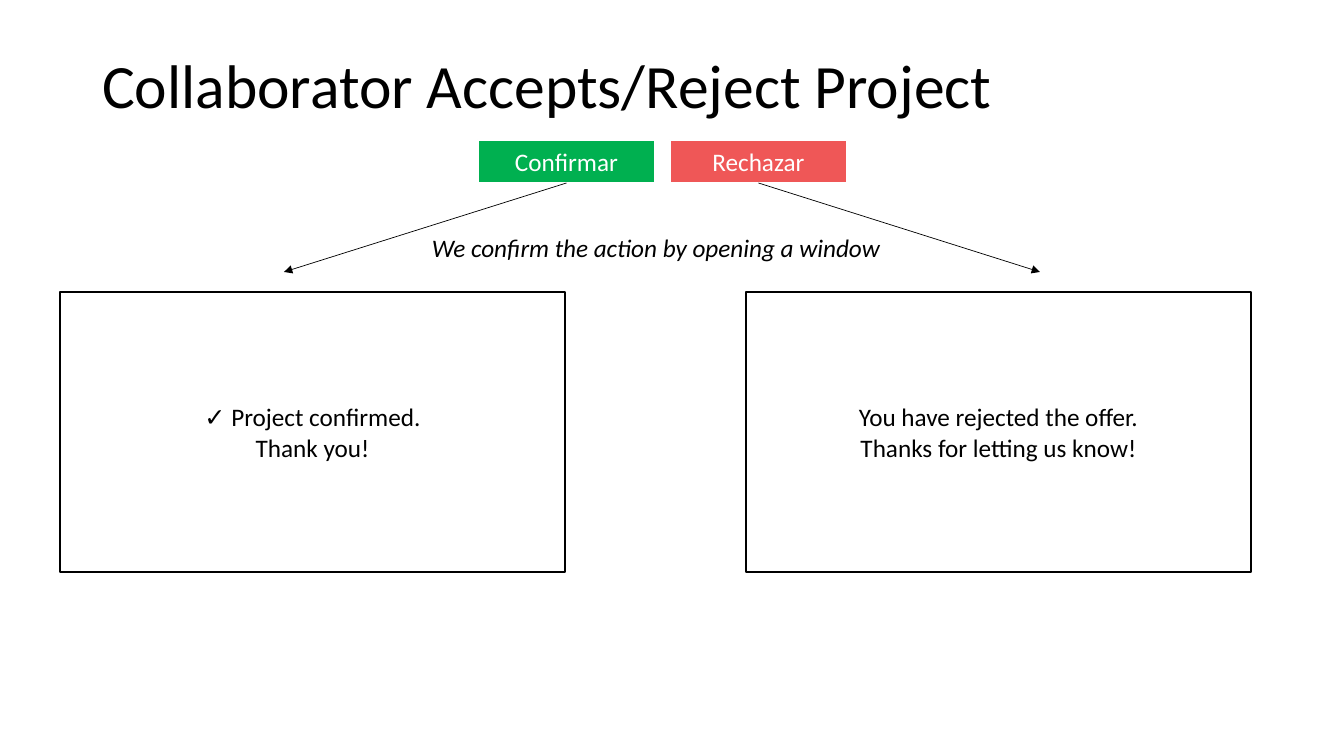
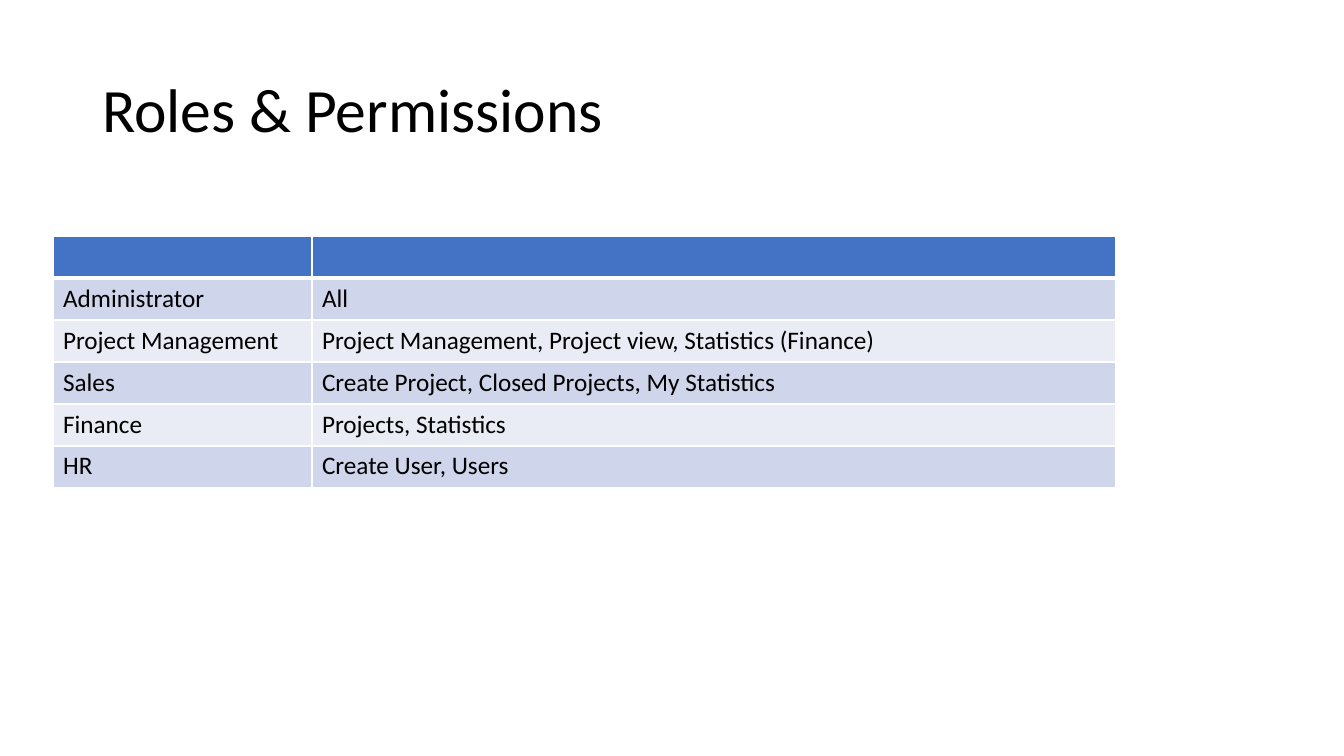
from lxml import etree
from pptx import Presentation
from pptx.dml.color import RGBColor
from pptx.enum import shapes, text
from pptx.oxml.ns import qn
from pptx.util import Emu, Pt

PX = 914400 / 100.8
FONT = "Calibri"
COLORS = {
    "ink": "000000", "paper": "FFFFFF", "yes": "00B050", "no": "EF5757",
    "head": "4472C4", "odd": "CFD5EA", "even": "E9EBF5",
}


def px(*values):
    return [Emu(round(v * PX)) for v in values]


def color(name):
    return RGBColor.from_string(COLORS[name])


def write(frame, words, size=18, ink="ink", italic=False, align="LEFT", space=None):
    frame.text = words
    for para in frame.paragraphs:
        para.alignment = getattr(text.PP_ALIGN, align)
        para.line_spacing = space
        font = para.font
        font.name, font.size, font.italic = FONT, Pt(size), italic
        font.color.rgb = color(ink)


def start(deck, words, top):
    """Add a title-only slide with its title at the given top."""
    slide = deck.slides.add_slide(deck.slide_layouts[5])
    title = slide.shapes.title
    title.left, title.top, title.width, title.height = px(92, top, 1159, 146)
    frame = title.text_frame
    frame.auto_size = text.MSO_AUTO_SIZE.NONE
    frame.vertical_anchor = text.MSO_ANCHOR.MIDDLE
    write(frame, words, size=44, space=0.9)
    return slide


def panel(slide, box, words, fill=None, line="ink", ink="ink"):
    shape = slide.shapes.add_shape(shapes.MSO_SHAPE.RECTANGLE, *px(*box))
    shape.shadow.inherit = False
    if fill:
        shape.fill.solid()
        shape.fill.fore_color.rgb = color(fill)
    else:
        shape.fill.background()
    shape.line.color.rgb = color(line)
    shape.line.width = Pt(1)
    shape.text_frame.vertical_anchor = text.MSO_ANCHOR.MIDDLE
    write(shape.text_frame, words, ink=ink, align="CENTER")


def arrow(slide, *ends):
    line = slide.shapes.add_connector(shapes.MSO_CONNECTOR.STRAIGHT, *px(*ends))
    line.line.color.rgb = color("ink")
    line.line.width = Pt(0.5)
    etree.SubElement(line.line._get_or_add_ln(), qn("a:tailEnd"), type="triangle")
    etree.SubElement(line._element.spPr, qn("a:effectLst"))


def choice(slide, button, label, fill, tip, dialog, words):
    """A button, the arrow from its foot, and the window it opens."""
    left, top, width, height = button
    panel(slide, button, label, fill, line="paper", ink="paper")
    arrow(slide, left + width / 2, top + height, tip, dialog[1] - 20)
    panel(slide, dialog, words)


def note(slide, box, words):
    frame = slide.shapes.add_textbox(*px(*box)).text_frame
    frame.word_wrap = True
    write(frame, words, italic=True)


def edge(cell, **widths):
    """Draw white cell borders, one width in points per side."""
    props = cell._tc.get_or_add_tcPr()
    for i, (side, width) in enumerate(widths.items()):
        line = etree.Element(qn("a:ln" + side), w=str(Pt(width)))
        fill = etree.SubElement(line, qn("a:solidFill"))
        etree.SubElement(fill, qn("a:srgbClr"), val=COLORS["paper"])
        props.insert(i, line)


def grid(slide, left, top, widths, height, rows):
    frame = slide.shapes.add_table(
        len(rows), len(widths), *px(left, top, sum(widths), height * len(rows)))
    table = frame.table
    for col, width in zip(table.columns, px(*widths)):
        col.width = width
    for r, row in enumerate(rows):
        table.rows[r].height = px(height)[0]
        fill = "head" if r == 0 else "odd" if r % 2 else "even"
        for c, words in enumerate(row):
            cell = table.cell(r, c)
            write(cell.text_frame, words)
            cell.fill.solid()
            cell.fill.fore_color.rgb = color(fill)
            edge(cell, L=1, R=1, T=3 if r == 1 else 1, B=1 if r else 3)


def answer(deck):
    slide = start(deck, "Collaborator Accepts/Reject Project", 16)
    # Buttons and the windows they open
    choice(slide, (478, 140, 177, 43), "Confirmar", "yes", 284,
           (60, 292, 505, 280), "✓ Project confirmed.\nThank you!")
    choice(slide, (670, 140, 177, 43), "Rechazar", "no", 1040,
           (746, 292, 505, 280),
           "You have rejected the offer.\nThanks for letting us know!")
    # Caption between the arrows
    note(slide, (422, 227, 488, 40), "We confirm the action by opening a window")


def roles(deck):
    slide = start(deck, "Roles & Permissions", 40)
    grid(slide, 53, 236, (259, 804), 42, [
        ("", ""),
        ("Administrator", "All"),
        ("Project Management", "Project Management, Project view, Statistics (Finance)"),
        ("Sales", "Create Project, Closed Projects, My Statistics"),
        ("Finance", "Projects, Statistics"),
        ("HR", "Create User, Users"),
    ])


deck = Presentation()
deck.slide_width, deck.slide_height = px(1344, 756)
answer(deck)
roles(deck)
deck.save("out.pptx")
